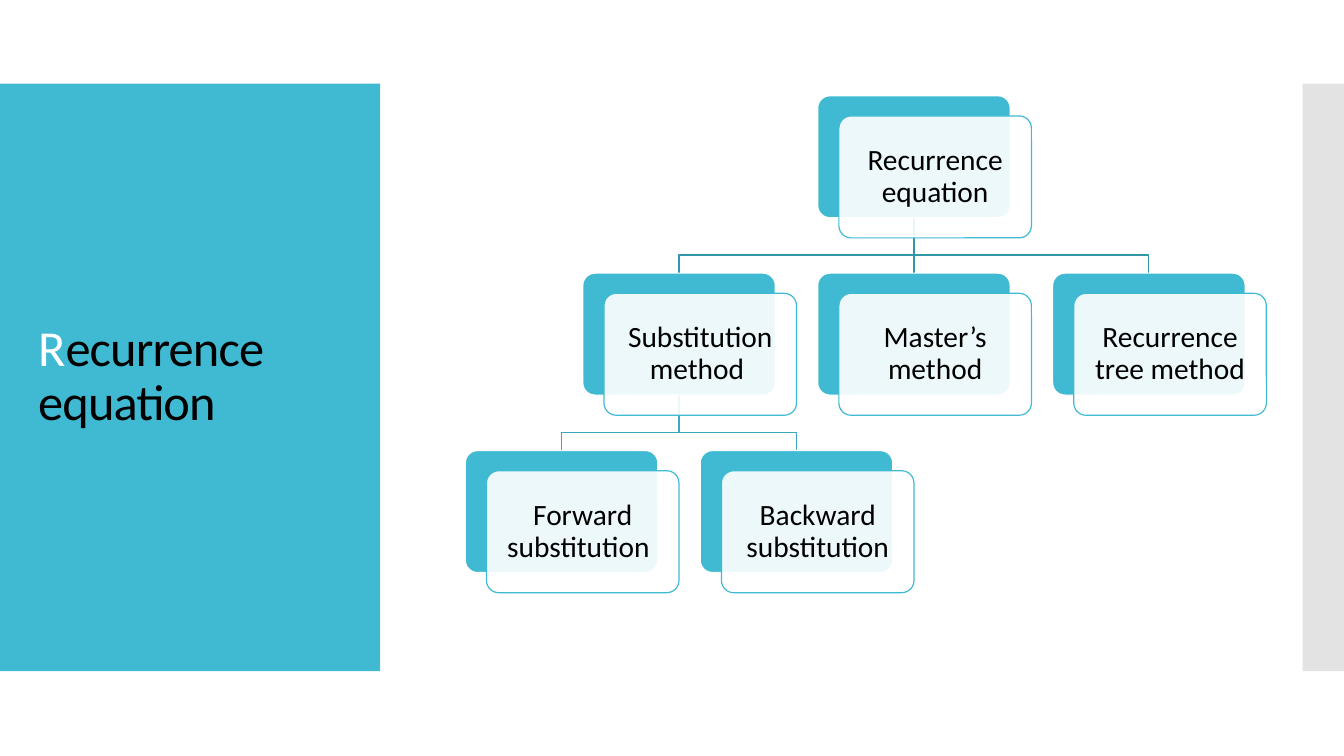
"""Builds a slide with a hierarchy of methods for solving recurrence equations."""
from lxml import etree
from pptx import Presentation
from pptx.dml.color import RGBColor
from pptx.enum import shapes, text
from pptx.oxml.ns import qn
from pptx.util import Inches, Pt

TITLE = ("R", "ecurrence equation")
# name: (text, column, level, parent)
NODES = {
    "root": ("Recurrence equation", 0, 0, None),
    "substitution": ("Substitution method\t", -1, 1, "root"),
    "forward": ("Forward substitution\t", -1.5, 2, "substitution"),
    "backward": ("Backward substitution", -0.5, 2, "substitution"),
    "master": ("Master’s method", 0, 1, "root"),
    "tree": ("Recurrence tree method", 1, 1, "root"),
}
TEAL, WHITE, BLACK, GRAY = "40BAD2", "FFFFFF", "000000", "C8C8C8"
LINK_COLORS = {1: "3395A8", 2: "3AA9BF"}
FONT = "Calibri"
LINE_WIDTH = 0.85
ROOT_LEFT, ROOT_TOP = 8.11, 0.95
COLUMN_PITCH, LEVEL_PITCH = 2.33, 1.76
CARD_WIDTH, CARD_HEIGHT = 1.91, 1.21
CARD_SHIFT_X, CARD_SHIFT_Y = 0.21, 0.2
BEND_GAP = 0.18
INSET = 0.09


def color(value):
    return RGBColor.from_string(value)


def set_line(shape, value):
    shape.line.color.rgb = color(value)
    shape.line.width = Pt(LINE_WIDTH)


def add_box(slide, kind, box, fill, line=None, opacity=100):
    shape = slide.shapes.add_shape(kind, *map(Inches, box))
    shape.shadow.inherit = False
    shape.fill.solid()
    shape.fill.fore_color.rgb = color(fill)
    if opacity < 100:
        fill_color = shape.fill._xPr.find(qn("a:solidFill"))[0]
        etree.SubElement(fill_color, qn("a:alpha"), val=str(opacity * 1000))
    if line:
        set_line(shape, line)
    else:
        shape.line.fill.background()
    return shape


def set_margins(frame, inset_x, inset_y):
    frame.margin_left = frame.margin_right = Inches(inset_x)
    frame.margin_top = frame.margin_bottom = Inches(inset_y)
    frame.vertical_anchor = text.MSO_ANCHOR.MIDDLE
    frame.word_wrap = True


def style_paragraph(paragraph, size, alignment):
    paragraph.alignment = alignment
    paragraph.line_spacing = 0.9
    paragraph.font.size = Pt(size)
    paragraph.font.name = FONT
    paragraph.font.color.rgb = color(BLACK)


def add_title(slide):
    frame = slide.shapes.add_textbox(*map(Inches, (0.28, 1.23, 3.22, 5.03))).text_frame
    set_margins(frame, 0.1, 0.05)
    paragraph = frame.paragraphs[0]
    style_paragraph(paragraph, 36, text.PP_ALIGN.LEFT)
    for part, value in zip(TITLE, (WHITE, BLACK)):
        run = paragraph.add_run()
        run.text = part
        run.font.color.rgb = color(value)
        run.font._element.set("spc", "-60")


def corner(name):
    _, column, level, _ = NODES[name]
    return ROOT_LEFT + column * COLUMN_PITCH, ROOT_TOP + level * LEVEL_PITCH


def add_link(slide, parent, child):
    parent_left, parent_top = corner(parent)
    child_left, child_top = corner(child)
    start_x, end_x = (Inches(left + CARD_WIDTH / 2) for left in (parent_left, child_left))
    start_y, bend_y, end_y = map(
        Inches, (parent_top + CARD_HEIGHT, child_top - BEND_GAP, child_top))
    if start_x == end_x:
        link = slide.shapes.add_connector(
            shapes.MSO_CONNECTOR.STRAIGHT, start_x, start_y, end_x, end_y)
        etree.SubElement(link._element.spPr, qn("a:effectLst"))
    else:
        builder = slide.shapes.build_freeform(start_x, start_y)
        builder.add_line_segments(
            [(start_x, bend_y), (end_x, bend_y), (end_x, end_y)], close=False)
        link = builder.convert_to_shape()
        link.shadow.inherit = False
        link.fill.background()
    set_line(link, LINK_COLORS[NODES[child][2]])


def add_card(slide, name):
    left, top = corner(name)
    rounded = shapes.MSO_SHAPE.ROUNDED_RECTANGLE
    back = add_box(slide, rounded, (left, top, CARD_WIDTH, CARD_HEIGHT), TEAL, WHITE)
    front = add_box(
        slide, rounded,
        (left + CARD_SHIFT_X, top + CARD_SHIFT_Y, CARD_WIDTH, CARD_HEIGHT),
        WHITE, TEAL, 90)
    back.adjustments[0] = front.adjustments[0] = 0.1
    set_margins(front.text_frame, INSET, INSET)
    paragraph = front.text_frame.paragraphs[0]
    paragraph.add_run().text = NODES[name][0]
    style_paragraph(paragraph, 21, text.PP_ALIGN.CENTER)


def main():
    presentation = Presentation()
    presentation.slide_width, presentation.slide_height = Inches(13.33), Inches(7.5)
    slide = presentation.slides.add_slide(presentation.slide_layouts[6])
    rectangle = shapes.MSO_SHAPE.RECTANGLE
    add_box(slide, rectangle, (0, 0.83, 3.77, 5.83), TEAL)
    add_box(slide, rectangle, (12.92, 0.83, 0.41, 5.83), GRAY, opacity=50)
    add_title(slide)
    for name, (_, _, _, parent) in NODES.items():
        if parent:
            add_link(slide, parent, name)
    for name in NODES:
        add_card(slide, name)
    presentation.save("out.pptx")


if __name__ == "__main__":
    main()
